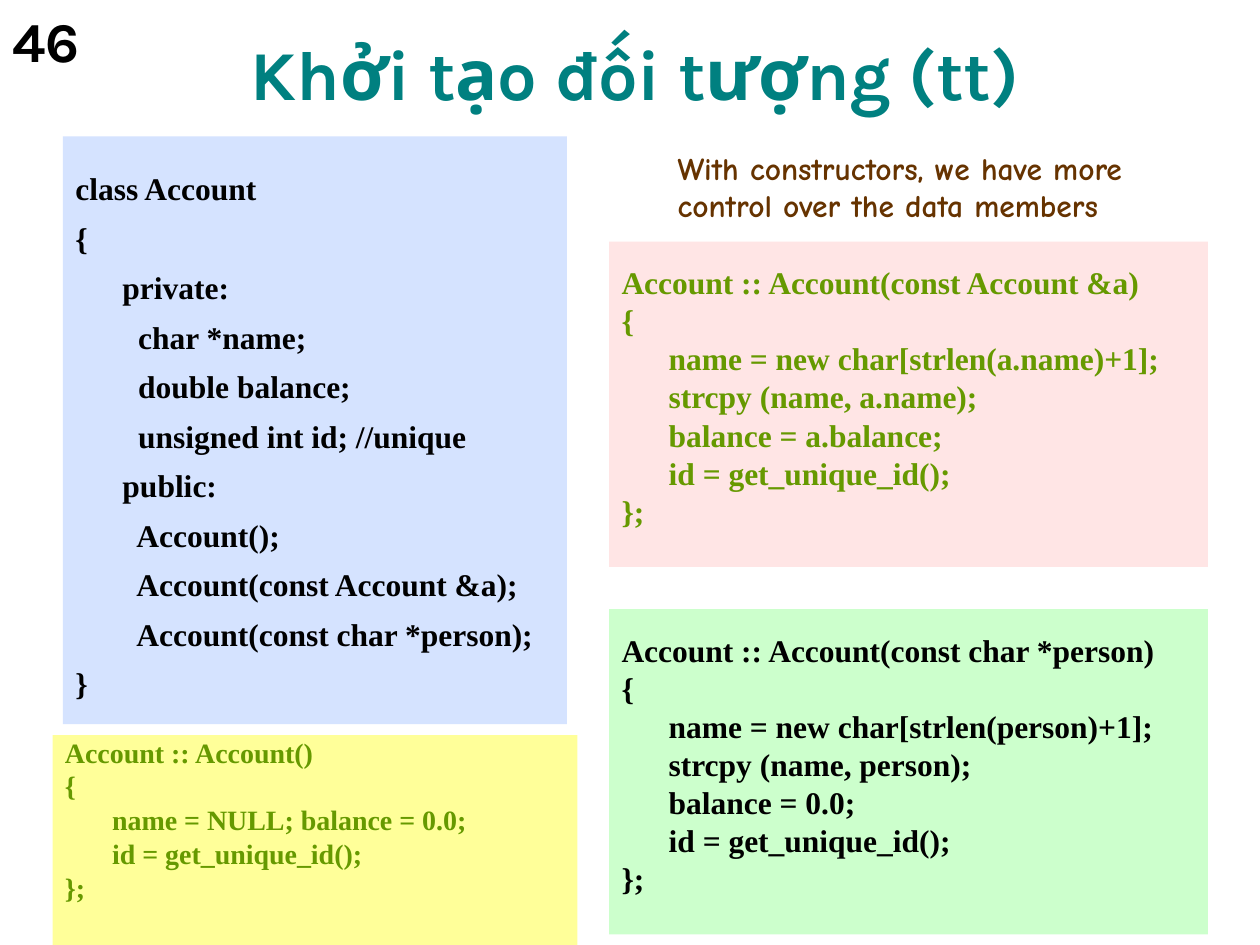
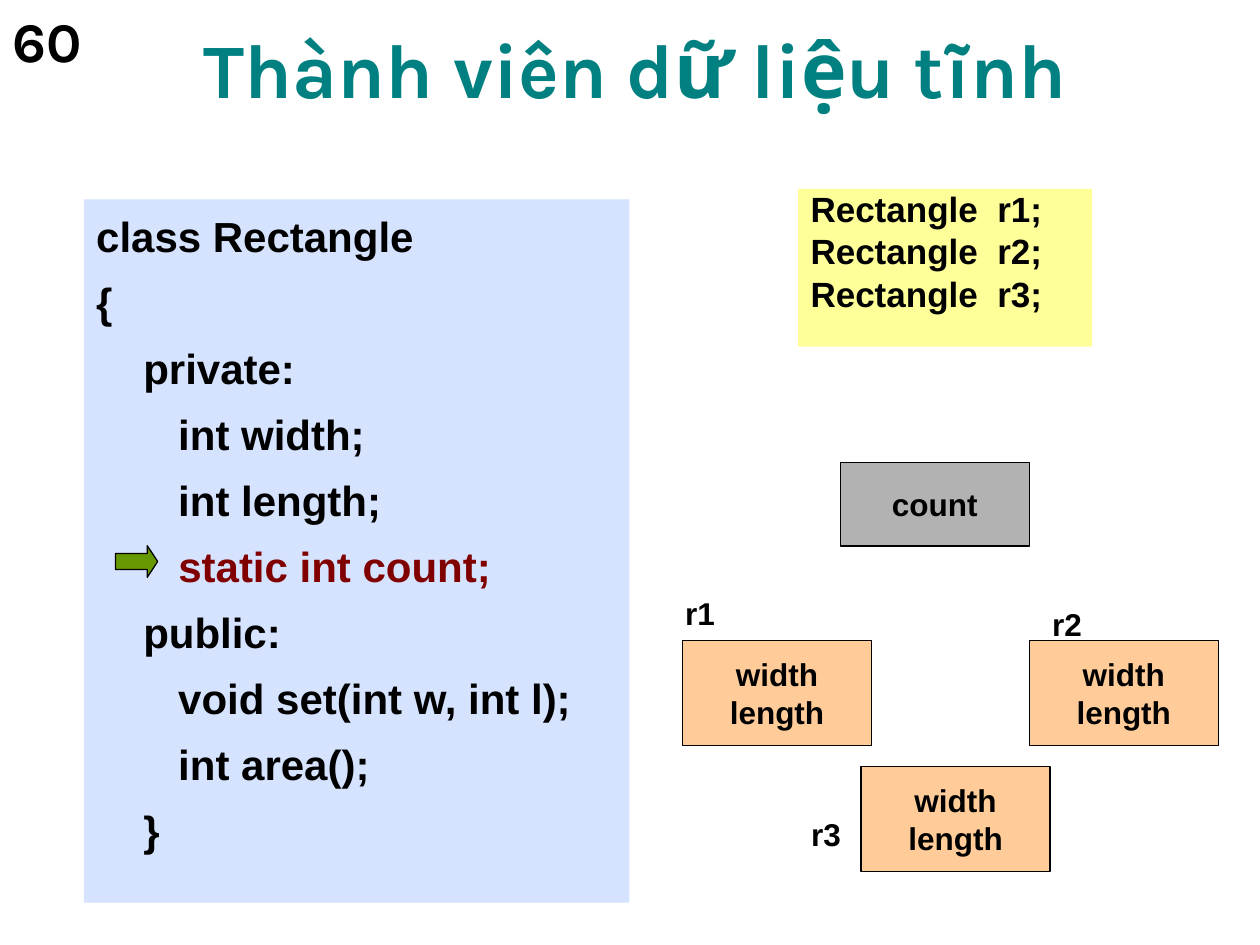
from pptx import Presentation
from pptx.dml.color import RGBColor
from pptx.enum import shapes, text
from pptx.util import Cm, Pt

HUES = {
    "teal": "008080", "black": "000000", "brown": "663300", "green": "669900",
    "maroon": "800000", "blue": "D5E3FF", "yellow": "FFFF99", "pink": "FFE5E5",
    "mint": "CCFFCC", "peach": "FFCC99", "gray": "B2B2B2",
}
SERIF, SANS, HEAD, HAND = "Times New Roman", "Arial", "Karla", "Comic Neue"
HANG = Cm(0.95)
CELL = 3.81  # width of every memory cell, in cm
TAG = (1.2, 1.02)  # size of every object label, in cm

# Slide 1: code panels as (area, fill, ink, size, line spacing, top inset, lines)
ACCOUNT = [
    ((1.27, 2.75, 10.16, 11.85), "blue", "black", 18, 1.1, 0.59, [
        "class Account",
        "{",
        "\tprivate:",
        "\t  char *name;",
        "\t  double balance;",
        "\t  unsigned int id; //unique",
        "\tpublic:",
        "\t  Account();",
        "\t  Account(const Account &a);",
        "\t  Account(const char *person);",
        "}"]),
    ((1.06, 14.82, 10.58, 4.23), "yellow", "green", 16, 0.8, 0.13, [
        "Account :: Account()",
        "{",
        "\tname = NULL; balance = 0.0;",
        "\tid = get_unique_id();",
        "};"]),
    ((12.28, 4.87, 12.07, 6.56), "pink", "green", 18, 0.8, 0.58, [
        "Account :: Account(const Account &a)",
        "{",
        "\tname = new char[strlen(a.name)+1];",
        "\tstrcpy (name, a.name);",
        "\tbalance = a.balance;",
        "\tid = get_unique_id();",
        "};"]),
    ((12.28, 12.28, 12.07, 6.56), "mint", "black", 18, 0.8, 0.58, [
        "Account :: Account(const char *person)",
        "{",
        "\tname = new char[strlen(person)+1];",
        "\tstrcpy (name, person);",
        "\tbalance = 0.0;",
        "\tid = get_unique_id();",
        "};"]),
]
NOTE = ["With constructors, we have more", "control over the data members"]

# Slide 2: code panels, then memory cells
STATIC = "static int count;"
RECT = [
    ((1.69, 4.02, 11, 14.18), "blue", "black", 24, 1.1, 0.13, [
        "class Rectangle",
        "{",
        "\tprivate:",
        "\t   int width;",
        "\t   int length;",
        "\t   " + STATIC,
        "\tpublic:",
        "\t   void set(int w, int l);",
        "\t   int area();",
        "\t}"]),
    ((16.09, 3.81, 5.93, 3.18), "yellow", "black", 20, 0.8, 0.13,
     [f"Rectangle  r{n};" for n in (1, 2, 3)]),
]
FIELDS = ["width", "length"]
# (left, top, height, fill, lines)
CELLS = [
    (13.76, 12.91, 2.12, "peach", FIELDS),
    (20.75, 12.91, 2.12, "peach", FIELDS),
    (17.36, 15.45, 2.12, "peach", FIELDS),
    (16.94, 9.32, 1.69, "gray", ["count"]),
]
LABELS = {"r1": (13.56, 11.86), "r2": (20.96, 12.07), "r3": (16.1, 16.31)}


def hue(name):
    return RGBColor.from_string(HUES[name])


def style(font, face, size, ink):
    font.name, font.size, font.bold = face, Pt(size), True
    font.color.rgb = hue(ink)


def write(frame, lines, face, size, ink, align=text.PP_ALIGN.LEFT):
    """Fill a frame, one paragraph a line."""
    for i, line in enumerate(lines):
        para = frame.add_paragraph() if i else frame.paragraphs[0]
        para.alignment = align
        style(para.font, face, size, ink)
        para.add_run().text = line


def draw(slide, kind, area, fill, line=None):
    shape = slide.shapes.add_shape(kind, *map(Cm, area))
    shape.shadow.inherit = False
    shape.fill.solid()
    shape.fill.fore_color.rgb = hue(fill)
    if line:
        shape.line.color.rgb = hue(line)
        shape.line.width = Pt(0.75)
    else:
        shape.line.fill.background()
    return shape


def label(slide, area, lines, face, size, ink, wrap=False):
    frame = slide.shapes.add_textbox(*map(Cm, area)).text_frame
    frame.word_wrap = wrap
    frame.auto_size = text.MSO_AUTO_SIZE.SHAPE_TO_FIT_TEXT
    write(frame, lines, face, size, ink)


def panel(slide, face, area, fill, ink, size, pitch, top, lines):
    """Draw a code panel with hanging indents."""
    frame = draw(slide, shapes.MSO_SHAPE.RECTANGLE, area, fill).text_frame
    frame.word_wrap = True
    frame.vertical_anchor = text.MSO_ANCHOR.TOP
    frame.margin_top = Cm(top)
    write(frame, lines, face, size, ink)
    for i, para in enumerate(frame.paragraphs):
        props = para._p.get_or_add_pPr()
        props.set("marL", str(HANG))
        props.set("indent", str(-HANG))
        para.line_spacing = pitch
        para.space_before = Pt(size / 4 if i else 0)
        if STATIC in para.text:
            run = para.runs[0]
            run.text = run.text.removesuffix(STATIC)
            mark = para.add_run()
            mark.text = STATIC
            mark.font.color.rgb = hue("maroon")


def page(deck, title, size, number):
    """Add a slide with its title and number."""
    slide = deck.slides.add_slide(deck.slide_layouts[5])
    head = slide.shapes.title
    head.left, head.top, head.width, head.height = map(Cm, (0.84, 0.42, 23.93, 2.01))
    frame = head.text_frame
    frame.auto_size = text.MSO_AUTO_SIZE.NONE
    frame.vertical_anchor = text.MSO_ANCHOR.BOTTOM
    write(frame, [title], HEAD, size, "teal", text.PP_ALIGN.CENTER)
    label(slide, (0, 0, 2.74, 1.8), [number], HEAD, 32, "black", wrap=True)
    return slide


def main():
    deck = Presentation()
    deck.slide_width, deck.slide_height = Cm(25.4), Cm(19.05)

    # Constructors
    slide = page(deck, "Khởi tạo đối tượng (tt)", 40, "46")
    for part in ACCOUNT:
        panel(slide, SERIF, *part)
    label(slide, (13.41, 2.87, 9.73, 1.78), NOTE, HAND, 18, "brown")

    # Static members
    slide = page(deck, "Thành viên dữ liệu tĩnh", 44, "60")
    for part in RECT:
        panel(slide, SANS, *part)
    arrow = draw(slide, shapes.MSO_SHAPE.RIGHT_ARROW, (2.33, 11, 0.85, 0.64),
                 "green", "black")
    arrow.adjustments[1] = 0.33
    for left, top, high, fill, lines in CELLS:
        frame = draw(slide, shapes.MSO_SHAPE.RECTANGLE, (left, top, CELL, high),
                     fill, "black").text_frame
        frame.word_wrap = False
        frame.vertical_anchor = text.MSO_ANCHOR.MIDDLE
        write(frame, lines, SANS, 18, "black", text.PP_ALIGN.CENTER)
    for name, spot in LABELS.items():
        label(slide, spot + TAG, [name], SANS, 18, "black")

    deck.save("out.pptx")


if __name__ == "__main__":
    main()
